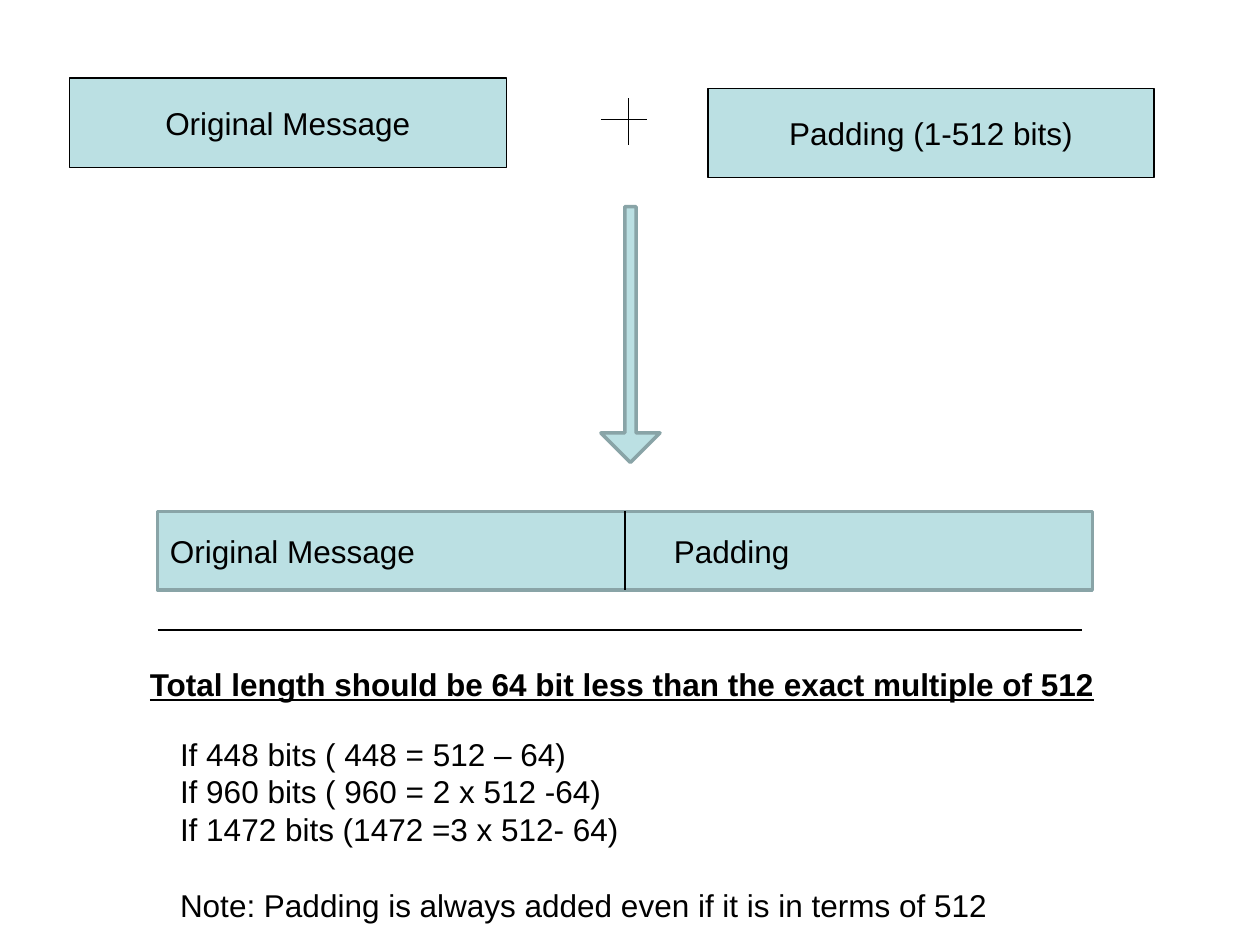
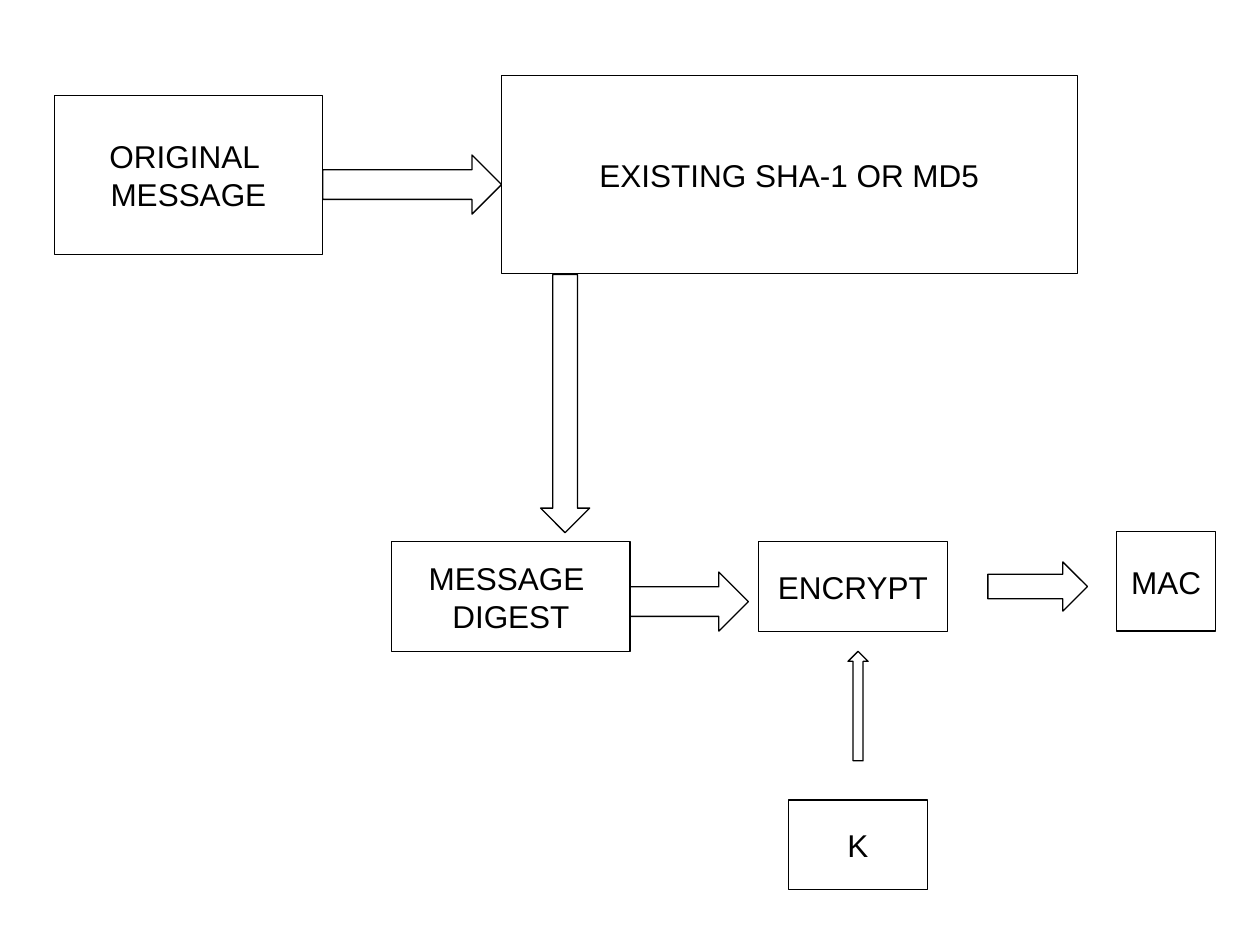
"""Builds two slides: message padding, and a digest-based MAC flow."""
from dataclasses import dataclass

from pptx import Presentation
from pptx.dml.color import RGBColor
from pptx.enum.shapes import MSO_CONNECTOR, MSO_SHAPE
from pptx.enum.text import MSO_ANCHOR, MSO_AUTO_SIZE, PP_ALIGN
from pptx.oxml.ns import qn
from pptx.util import Pt
from lxml.etree import SubElement


@dataclass(frozen=True)
class Theme:
    """Colours, type and line widths shared by both slides."""
    ink: RGBColor = RGBColor(0x00, 0x00, 0x00)
    tint: RGBColor = RGBColor(0xBB, 0xE0, 0xE3)
    edge: RGBColor = RGBColor(0x89, 0xA4, 0xA7)
    font: str = "Arial"
    size: float = 18
    thin: float = 0.75
    thick: float = 2


@dataclass(frozen=True)
class Box:
    """A rectangle in points."""
    left: float
    top: float
    width: float
    height: float

    def inner(self, left, top, width, height):
        """Return a box offset from this one's corner."""
        return Box(self.left + left, self.top + top, width, height)

    def lengths(self):
        """Return the four sides as lengths."""
        return [Pt(value) for value in (self.left, self.top, self.width, self.height)]


THEME = Theme()


def write_lines(frame, lines, alignment=PP_ALIGN.LEFT, bold=False):
    """Write one paragraph per line and return the paragraphs."""
    frame.word_wrap = True
    for index, line in enumerate(lines):
        paragraph = frame.paragraphs[0] if index == 0 else frame.add_paragraph()
        paragraph.alignment = alignment
        run = paragraph.add_run()
        run.text = line
        run.font.name = THEME.font
        run.font.size = Pt(THEME.size)
        run.font.color.rgb = THEME.ink
        if bold:
            run.font.bold = run.font.underline = True
    return frame.paragraphs


def add_block(slide, kind, box, lines=(), fill=None, heavy=False, alignment=PP_ALIGN.CENTER):
    """Add an outlined preset shape with optional text."""
    shape = slide.shapes.add_shape(kind, *box.lengths())
    shape.shadow.inherit = False
    if fill is None:
        shape.fill.background()
    else:
        shape.fill.solid()
        shape.fill.fore_color.rgb = fill
    shape.line.color.rgb = THEME.edge if heavy else THEME.ink
    shape.line.width = Pt(THEME.thick if heavy else THEME.thin)
    shape.text_frame.vertical_anchor = MSO_ANCHOR.MIDDLE
    write_lines(shape.text_frame, lines, alignment)
    return shape


def add_line(shapes, start, end):
    """Add a thin straight line between two points."""
    line = shapes.add_connector(MSO_CONNECTOR.STRAIGHT, *map(Pt, (*start, *end)))
    line.line.color.rgb = THEME.ink
    line.line.width = Pt(THEME.thin)
    SubElement(line._element.spPr, qn("a:effectLst"))
    return line


def add_text(slide, box, lines, bold=False):
    """Add a text box and return its paragraphs."""
    frame = slide.shapes.add_textbox(*box.lengths()).text_frame
    paragraphs = write_lines(frame, lines, bold=bold)
    frame.auto_size = MSO_AUTO_SIZE.SHAPE_TO_FIT_TEXT
    return paragraphs


def add_padding_sum(slide, box):
    """Draw message plus padding and the arrow to the result."""
    for label, place in (
        ("Original Message", (0, 0, 249.8, 51.1)),
        ("Padding (1-512 bits)", (365, 5.8, 254.9, 51.1)),
    ):
        add_block(slide, MSO_SHAPE.RECTANGLE, box.inner(*place), [label], THEME.tint)
    plus = box.inner(303.8, 11.6, 26.6, 26.6)
    center_x, center_y = plus.left + 15.9, plus.top + 12.2
    group = slide.shapes.add_group_shape()
    add_line(group.shapes, (center_x, plus.top), (center_x, plus.top + plus.height))
    add_line(group.shapes, (plus.left, center_y), (plus.left + plus.width, center_y))
    arrow = add_block(slide, MSO_SHAPE.DOWN_ARROW, box.inner(303.8, 73.5, 33.8, 146.2),
                      fill=THEME.tint, heavy=True)
    arrow.adjustments[0] = 0.19


def add_padded_message(slide, box):
    """Draw the divided bar with the length rule below it."""
    bar = add_block(slide, MSO_SHAPE.RECTANGLE, box, ["Original Message\tPadding"],
                    THEME.tint, heavy=True, alignment=PP_ALIGN.LEFT)
    properties = bar.text_frame.paragraphs[0]._p.get_or_add_pPr()
    tabs = SubElement(properties, qn("a:tabLst"))
    SubElement(tabs, qn("a:tab"), pos=str(Pt(288)), algn="l")
    middle = box.left + box.width / 2
    divider = add_line(slide.shapes, (middle, box.top), (middle, box.top + box.height))
    divider.begin_connect(bar, 0)
    divider.end_connect(bar, 2)
    rule_top = box.top + 67.7
    add_line(slide.shapes, (box.left, rule_top), (box.left + 528.5, rule_top))


def add_length_notes(slide, box):
    """Write the length condition, its examples and the note."""
    add_text(slide, box.inner(0, 0, box.width, 28.8),
             ["Total length should be 64 bit less than the exact multiple of 512"], bold=True)
    paragraphs = add_text(slide, box.inner(17.3, 39.6, 523.4, 116.6), [
        "If 448 bits ( 448 = 512 – 64)",
        "If 960 bits ( 960 = 2 x 512 -64)",
        "If 1472 bits (1472 =3 x 512- 64)",
        "Note: Padding is always added even if it is in terms of 512",
    ])
    paragraphs[-1].space_before = Pt(21.6)


def add_flow(slide, box, nodes, arrows):
    """Draw labelled rectangles and block arrows within the box."""
    for lines, place in nodes:
        add_block(slide, MSO_SHAPE.RECTANGLE, box.inner(*place), lines)
    for kind, place in arrows:
        add_block(slide, kind, box.inner(*place))


def add_hash_stage(slide, box):
    """Draw the message entering the hash function."""
    add_flow(slide, box, [
        (["ORIGINAL ", "MESSAGE"], (0, 11.5, 153.4, 90.7)),
        (["EXISTING SHA-1 OR MD5"], (255.6, 0, 329, 113)),
    ], [
        (MSO_SHAPE.RIGHT_ARROW, (153.4, 45.4, 102.2, 33.8)),
        (MSO_SHAPE.DOWN_ARROW, (277.9, 113.6, 28.1, 147.6)),
    ])


def add_encrypt_stage(slide, box):
    """Draw the digest being encrypted with the key into the MAC."""
    add_flow(slide, box, [
        (["MESSAGE ", "DIGEST"], (0, 5.8, 136.1, 62.6)),
        (["ENCRYPT"], (209.5, 5.8, 108, 51.1)),
        (["K"], (226.8, 153.4, 79.2, 51.1)),
        (["MAC"], (414, 0, 56.9, 56.9)),
    ], [
        (MSO_SHAPE.RIGHT_ARROW, (136.1, 23.1, 67.7, 33.8)),
        (MSO_SHAPE.UP_ARROW, (260.7, 68.4, 11.5, 62.6)),
        (MSO_SHAPE.RIGHT_ARROW, (340.6, 17.3, 56.9, 28.1)),
    ])


def main():
    """Build and save the presentation."""
    presentation = Presentation()
    presentation.slide_width, presentation.slide_height = Pt(720), Pt(540)
    blank = presentation.slide_layouts[6]

    padding_slide = presentation.slides.add_slide(blank)
    add_padding_sum(padding_slide, Box(39.6, 44.6, 620, 220))
    add_padded_message(padding_slide, Box(90, 292.3, 534.2, 45))
    add_length_notes(padding_slide, Box(78.5, 376.6, 562.3, 156.2))

    mac_slide = presentation.slides.add_slide(blank)
    add_hash_stage(mac_slide, Box(31, 43.2, 584.6, 261.2))
    add_encrypt_stage(mac_slide, Box(223.9, 303.8, 470.9, 204.5))

    presentation.save("out.pptx")


if __name__ == "__main__":
    main()
